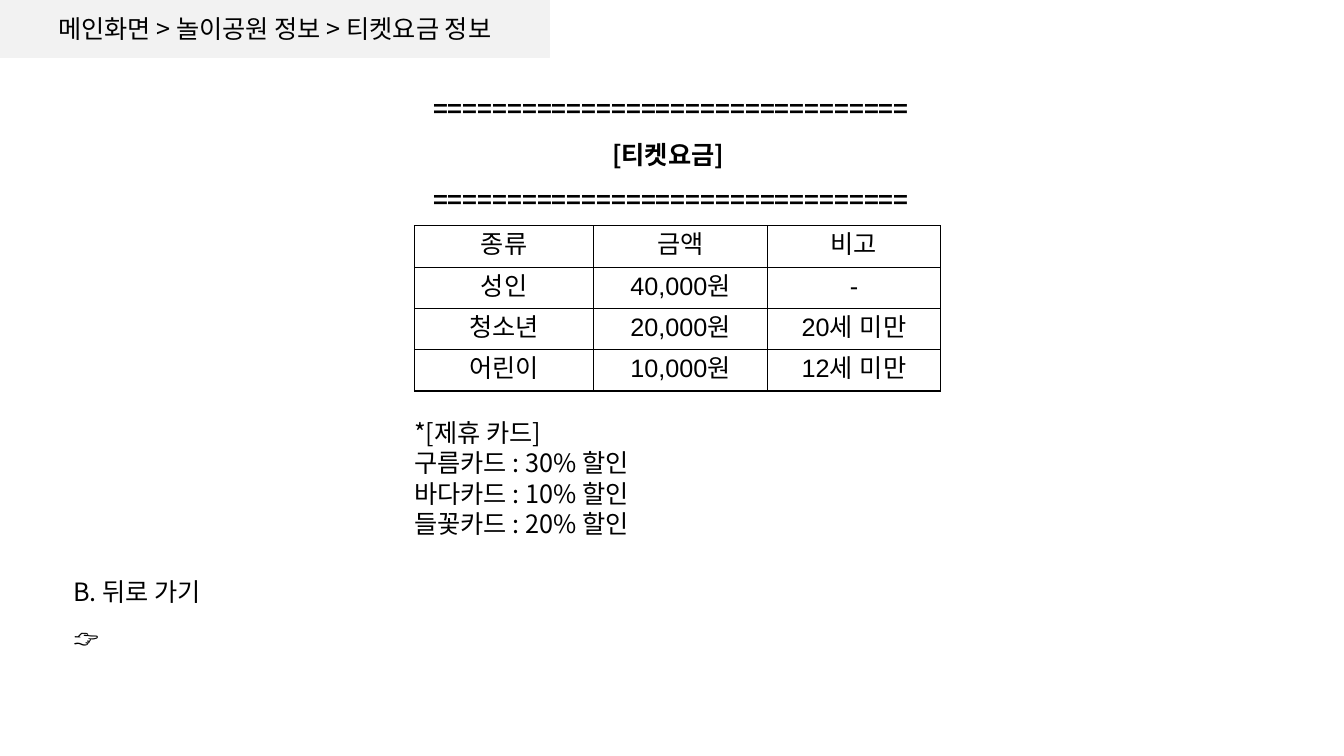
from dataclasses import dataclass

from lxml import etree
from pptx import Presentation
from pptx import util as u
from pptx.dml.color import RGBColor
from pptx.enum import shapes, text
from pptx.oxml import ns

BREADCRUMB = "메인화면\u00a0> 놀이공원 정보 > 티켓요금 정보"
RULE = "=" * 32
HEADING = [RULE, "[티켓요금]\u00a0", RULE]
FEES = [
    ("종류", "금액", "비고"),
    ("성인", "40,000원", "-"),
    ("청소년", "20,000원", "20세 미만"),
    ("어린이", "10,000원", "12세 미만"),
]
CARDS = ["*[제휴 카드]", "구름카드 : 30% 할인", "바다카드 : 10% 할인", "들꽃카드 : 20% 할인"]
PROMPT = ["B. 뒤로 가기", "👉"]

# left, top, width, height in inches
BREADCRUMB_BOX = (0, 0, 5.45, 0.57)
HEADING_BOX = (3.63, 0.8, 6.05, 1.31)
CARDS_BOX = (4.01, 4.04, 5.45, 1.41)
PROMPT_BOX = (0.63, 5.52, 3, 0.86)
FEES_AT = (4.11, 2.24)
FEE_COLUMNS = (1.78, 1.72, 1.72)
FEE_ROW = 0.41


@dataclass(frozen=True)
class Theme:
    ink: str = "000000"
    band: str = "F2F2F2"
    size: int = 18
    body: str = "Noto Sans CJK KR"
    table: str = "Arial"


THEME = Theme()


def inches(lengths):
    return [u.Inches(length) for length in lengths]


def write(frame, lines, font=THEME.body, bold=False, align=text.PP_ALIGN.LEFT,
          anchor=text.MSO_ANCHOR.TOP, spacing=1.0, inset=0.05):
    frame.word_wrap = True
    frame.vertical_anchor = anchor
    frame.margin_left = frame.margin_right = u.Inches(0.1)
    frame.margin_top = frame.margin_bottom = u.Inches(inset)
    for index, line in enumerate(lines):
        paragraph = frame.add_paragraph() if index else frame.paragraphs[0]
        paragraph.alignment = align
        paragraph.line_spacing = spacing
        run = paragraph.add_run()
        run.text = line
        run.font.size = u.Pt(THEME.size)
        run.font.bold = bold
        run.font.name = font
        run.font.color.rgb = RGBColor.from_string(THEME.ink)
        east_asian = etree.SubElement(run.font._element, ns.qn("a:ea"))
        east_asian.set("typeface", font)


def outline_cell(cell):
    properties = cell._tc.get_or_add_tcPr()
    for position, side in enumerate(("lnL", "lnR", "lnT", "lnB")):
        border = etree.Element(ns.qn(f"a:{side}"), w=str(u.Pt(1)))
        fill = etree.SubElement(border, ns.qn("a:solidFill"))
        etree.SubElement(fill, ns.qn("a:srgbClr"), val=THEME.ink)
        properties.insert(position, border)


def add_fees(slide):
    left, top = inches(FEES_AT)
    width, height = inches((sum(FEE_COLUMNS), FEE_ROW * len(FEES)))
    table = slide.shapes.add_table(len(FEES), len(FEE_COLUMNS), left, top, width, height).table
    table.first_row = table.horz_banding = False
    for column, column_width in zip(table.columns, inches(FEE_COLUMNS)):
        column.width = column_width
    for row, values in zip(table.rows, FEES):
        row.height = u.Inches(FEE_ROW)
        for cell, value in zip(row.cells, values):
            cell.fill.background()
            outline_cell(cell)
            cell.margin_left = cell.margin_right = u.Inches(0.1)
            write(cell.text_frame, [value], font=THEME.table, align=text.PP_ALIGN.CENTER)


def add_text(slide, box, lines, **style):
    frame = slide.shapes.add_textbox(*inches(box)).text_frame
    write(frame, lines, **style)


def main():
    deck = Presentation()
    deck.slide_width, deck.slide_height = inches((13.33, 7.5))
    slide = deck.slides.add_slide(deck.slide_layouts[5])
    centred = dict(align=text.PP_ALIGN.CENTER, anchor=text.MSO_ANCHOR.MIDDLE)

    band = slide.shapes.add_shape(shapes.MSO_SHAPE.FLOWCHART_PROCESS, *inches(BREADCRUMB_BOX))
    band.shadow.inherit = False
    band.fill.solid()
    band.fill.fore_color.rgb = band.line.color.rgb = RGBColor.from_string(THEME.band)
    band.line.width = u.Pt(1)
    write(band.text_frame, [BREADCRUMB], **centred)

    heading = slide.shapes.title
    heading.left, heading.top, heading.width, heading.height = inches(HEADING_BOX)
    heading.text_frame.auto_size = text.MSO_AUTO_SIZE.NONE
    write(heading.text_frame, HEADING, bold=True, spacing=1.5, **centred)

    add_fees(slide)
    add_text(slide, PROMPT_BOX, PROMPT, spacing=1.5)
    add_text(slide, CARDS_BOX, CARDS, inset=0.1)
    deck.save("out.pptx")


if __name__ == "__main__":
    main()
